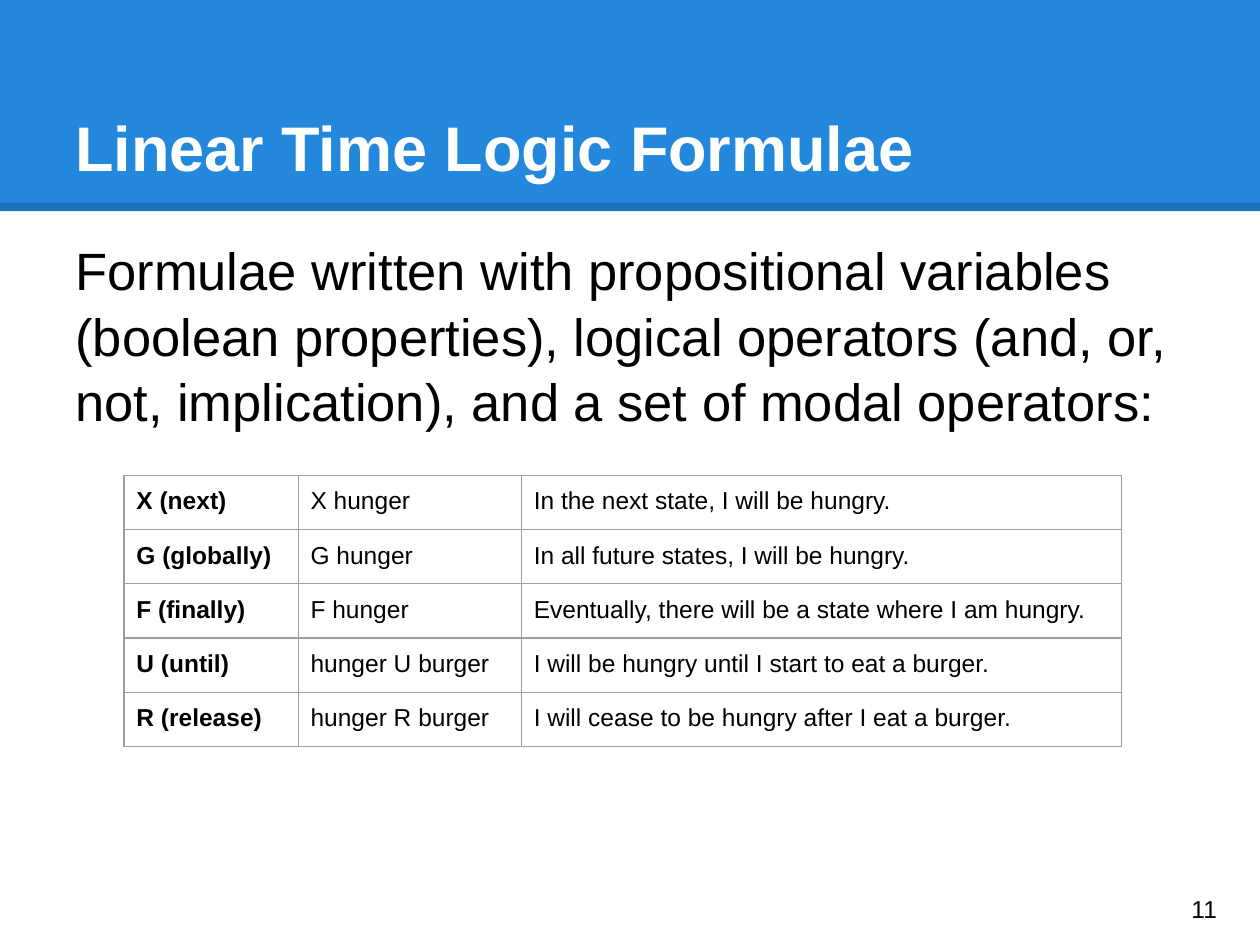
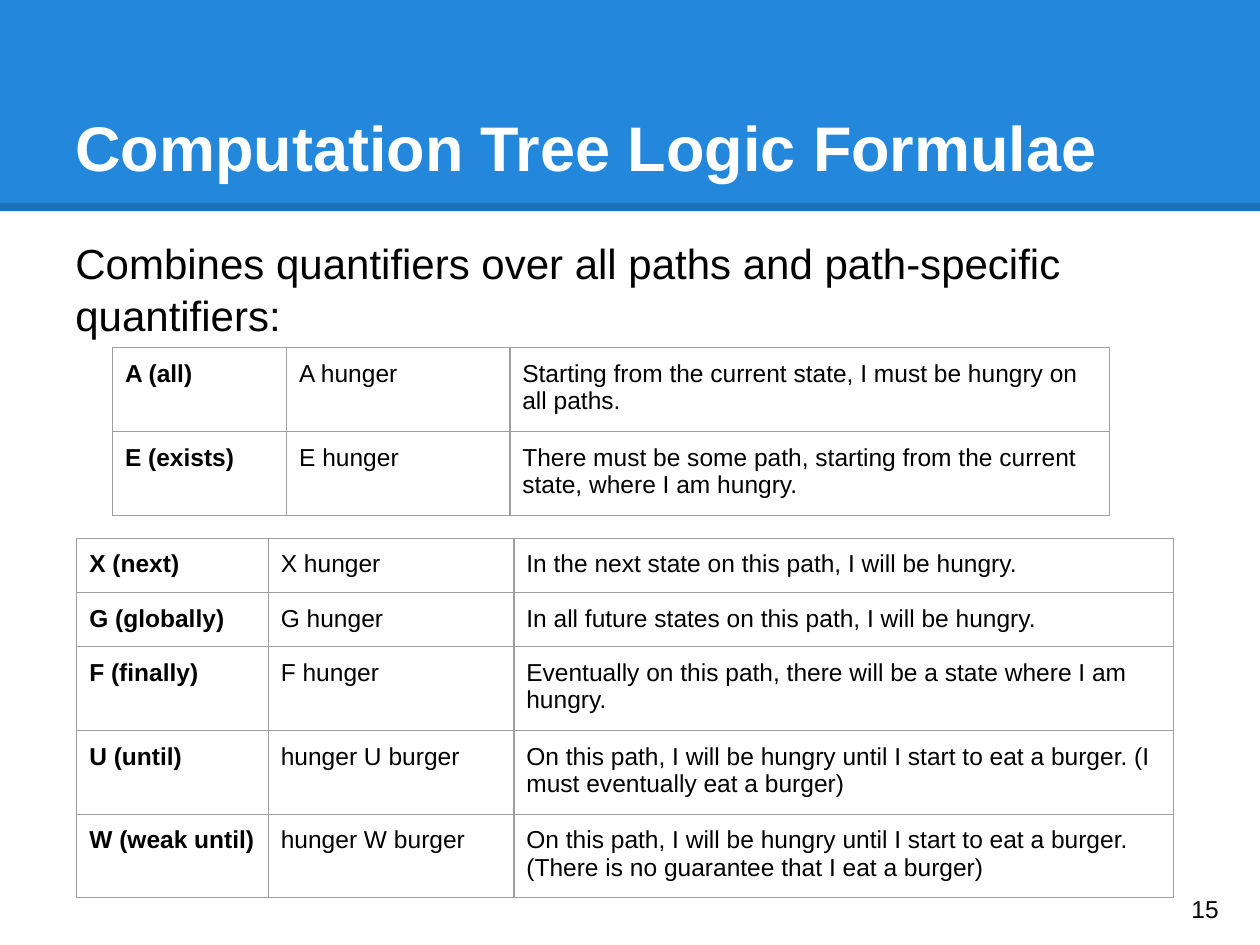
from collections import namedtuple

from lxml.etree import SubElement
from pptx import Presentation
from pptx.dml.color import RGBColor
from pptx.enum.shapes import MSO_CONNECTOR as Connector, MSO_SHAPE as Preset
from pptx.enum.text import MSO_ANCHOR as Anchor
from pptx.oxml.ns import qn
from pptx.util import Cm, Pt

Box = namedtuple("Box", "left top width height")

BLUE, WHITE, BLACK, GREY = "2388DB", "FFFFFF", "000000", "9E9E9E"
PAGE = Box(0, 0, 25.4, 19.05)
BAND = Box(0, 0, PAGE.width, 4.26)
MARGIN = 1.27
INSET = 0.25
ROW_HEIGHT = 1.06
COLUMNS = (3.51, 4.5, 12.09)
TITLE = {"name": "Arial", "size": Pt(36), "bold": True, "color": WHITE}
SMALL = {"name": "Arial", "size": Pt(14), "bold": False, "color": BLACK}
TERM = {**SMALL, "bold": True}

LINEAR_ROWS = [
    ("X (next)", "X hunger", "In the next state, I will be hungry."),
    ("G (globally)", "G hunger", "In all future states, I will be hungry."),
    ("F (finally)", "F hunger", "Eventually, there will be a state where I am hungry."),
    ("U (until)", "hunger U burger", "I will be hungry until I start to eat a burger."),
    ("R (release)", "hunger R burger", "I will cease to be hungry after I eat a burger."),
]
QUANTIFIER_ROWS = [
    ("A (all)", "A hunger",
     "Starting from the current state, I must be hungry on all paths."),
    ("E (exists)", "E hunger",
     "There must be some path, starting from the current state, where I am hungry."),
]
PATH_ROWS = [
    ("X (next)", "X hunger", "In the next state on this path, I will be hungry."),
    ("G (globally)", "G hunger", "In all future states on this path, I will be hungry."),
    ("F (finally)", "F hunger",
     "Eventually on this path, there will be a state where I am hungry."),
    ("U (until)", "hunger U burger",
     "On this path, I will be hungry until I start to eat a burger. "
     "(I must eventually eat a burger)"),
    ("W (weak until)", "hunger W burger",
     "On this path, I will be hungry until I start to eat a burger. "
     "(There is no guarantee that I eat a burger)"),
]


def rgb(value):
    """Turn a hex string into a colour."""
    return RGBColor.from_string(value)


def lengths(box):
    """Give the four measures of a box as lengths."""
    return [Cm(value) for value in box]


def set_insets(target):
    """Give a text frame or a table cell the shared inset."""
    for side in ("left", "top", "right", "bottom"):
        setattr(target, f"margin_{side}", Cm(INSET))


def write(paragraph, text, style):
    """Fill a paragraph with one run in the given style."""
    font = paragraph.add_run().font
    paragraph.runs[0].text = text
    for key, value in style.items():
        if key == "color":
            font.color.rgb = rgb(value)
        else:
            setattr(font, key, value)


def add_text(slide, box, text, style, anchor=Anchor.TOP, spacing=1.0):
    """Add a wrapped text box with one paragraph."""
    frame = slide.shapes.add_textbox(*lengths(box)).text_frame
    frame.word_wrap = True
    frame.vertical_anchor = anchor
    set_insets(frame)
    frame.paragraphs[0].line_spacing = spacing
    write(frame.paragraphs[0], text, style)


def add_header(slide, box, title):
    """Draw the title band with its darker lower edge and the title."""
    band = slide.shapes.add_shape(Preset.RECTANGLE, *lengths(box))
    band.shadow.inherit = False
    band.fill.solid()
    band.fill.fore_color.rgb = rgb(BLUE)
    band.line.fill.background()

    edge_top = Cm(box.top + box.height - 0.09)
    edge = slide.shapes.add_connector(
        Connector.STRAIGHT, Cm(box.left), edge_top, Cm(box.left + box.width), edge_top)
    edge.line.width = Pt(4.5)
    edge.line.color.rgb = rgb(BLACK)
    properties = edge._element.spPr
    color = properties.find(".//" + qn("a:srgbClr"))
    SubElement(color, qn("a:alpha"), val="15000")
    SubElement(properties, qn("a:effectLst"))

    title_box = Box(box.left + MARGIN, box.top + 0.76,
                    box.width - 2 * MARGIN, box.height - 1.06)
    add_text(slide, title_box, title, TITLE, Anchor.BOTTOM)


def add_body(slide, box, text, size):
    """Write the introduction below the band."""
    style = {**SMALL, "size": Pt(size)}
    add_text(slide, box, text, style, spacing=1.04)


def add_page_number(slide, page, number):
    """Write the page number in the lower right corner."""
    box = Box(page.left + page.width - 1.63, page.top + page.height - 1.45, 1.52, 1.45)
    add_text(slide, box, str(number), SMALL, Anchor.MIDDLE)


def format_cell(cell):
    """Give a cell thin grey borders, the shared inset and no fill."""
    set_insets(cell)
    properties = cell._tc.get_or_add_tcPr()
    for side in ("lnL", "lnR", "lnT", "lnB"):
        border = SubElement(properties, qn(f"a:{side}"), w=str(Pt(0.75)))
        fill = SubElement(border, qn("a:solidFill"))
        SubElement(fill, qn("a:srgbClr"), val=GREY)
    cell.fill.background()


def add_operator_table(slide, left, top, rows, scale=1.0):
    """Add a table of operators, examples and meanings."""
    widths = [width * scale for width in COLUMNS]
    box = Box(left, top, sum(widths), ROW_HEIGHT * len(rows))
    table = slide.shapes.add_table(len(rows), len(widths), *lengths(box)).table
    table.first_row = table.horz_banding = False
    for column, width in zip(table.columns, widths):
        column.width = Cm(width)
    for row, texts in zip(table.rows, rows):
        row.height = Cm(ROW_HEIGHT)
        for cell, text, style in zip(row.cells, texts, (TERM, SMALL, SMALL)):
            format_cell(cell)
            write(cell.text_frame.paragraphs[0], text, style)


def add_formulae_slide(presentation, title, number, body, body_size, body_box):
    """Add a slide with the shared header, introduction and page number."""
    slide = presentation.slides.add_slide(presentation.slide_layouts[6])
    add_header(slide, BAND, title)
    add_body(slide, body_box, body, body_size)
    add_page_number(slide, PAGE, number)
    return slide


def main():
    """Build both slides and save them."""
    presentation = Presentation()
    presentation.slide_width = Cm(PAGE.width)
    presentation.slide_height = Cm(PAGE.height)

    linear = add_formulae_slide(
        presentation, "Linear Time Logic Formulae", 11,
        "Formulae written with propositional variables (boolean properties), "
        "logical operators (and, or, not, implication), and a set of modal operators:",
        30, Box(MARGIN, 4.5, 22.86, 13.79))
    add_operator_table(linear, 2.5, 9.58, LINEAR_ROWS)

    tree = add_formulae_slide(
        presentation, "Computation Tree Logic Formulae", 15,
        "Combines quantifiers over all paths and path-specific quantifiers:",
        24, Box(MARGIN, 4.5, 23.72, 5.89))
    add_operator_table(tree, 1.55, 10.85, PATH_ROWS, scale=1.1)
    add_operator_table(tree, 2.27, 7.01, QUANTIFIER_ROWS)

    presentation.save("out.pptx")


if __name__ == "__main__":
    main()
